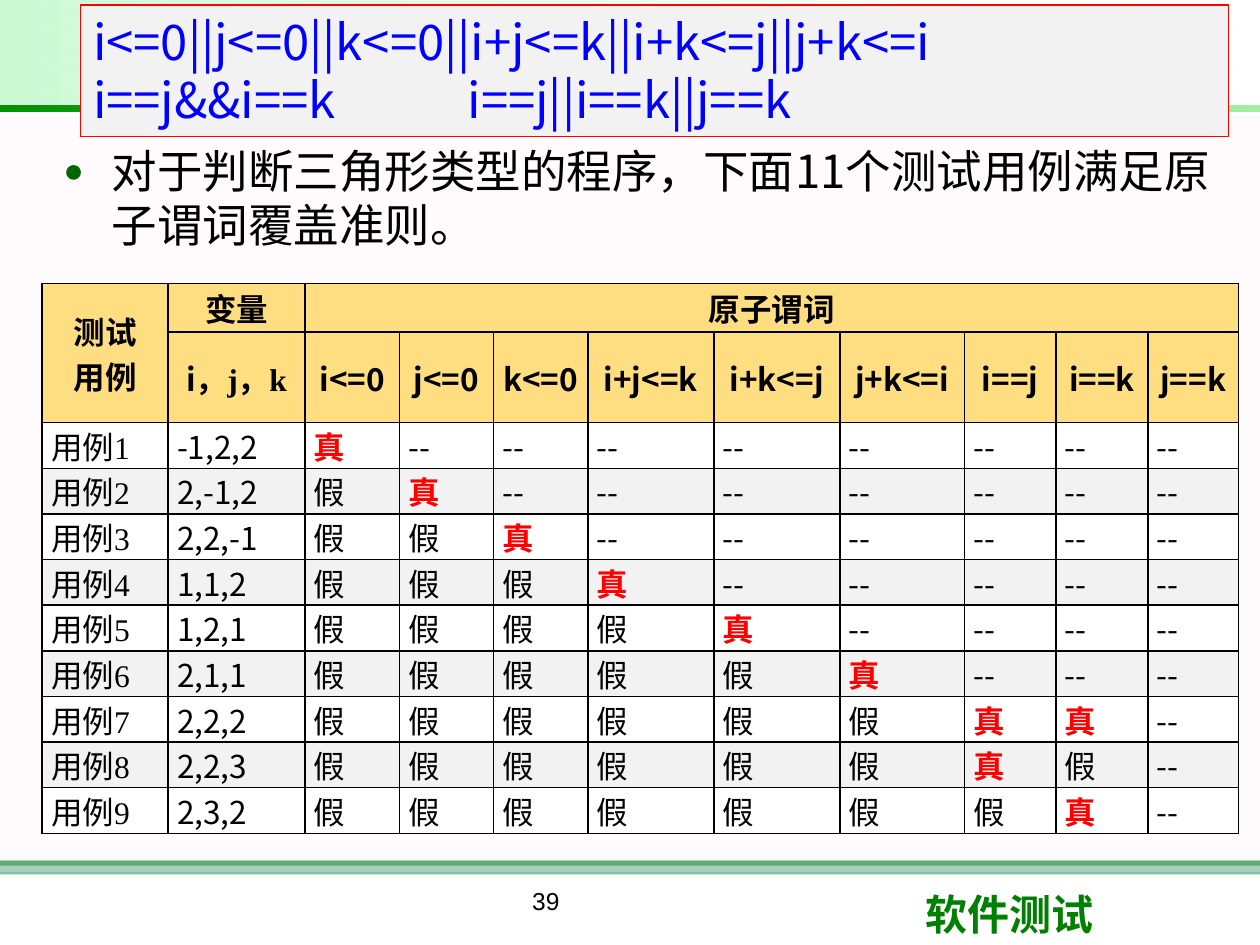
from lxml.etree import SubElement
from pptx import Presentation
from pptx.dml.color import RGBColor
from pptx.enum.shapes import MSO_SHAPE
from pptx.enum.text import MSO_ANCHOR, PP_ALIGN
from pptx.oxml.ns import qn
from pptx.util import Cm, Pt

NOTO, ROMAN, ARIAL = "Noto Sans CJK SC", "Times New Roman", "Arial"


def color(code):
    return RGBColor.from_string(code)


def add(node, tag, **attrs):
    return SubElement(node, qn(tag), attrs)


def fade(fill, node, code, alpha):
    """Solid fill with an opacity in percent."""
    fill.solid()
    fill.fore_color.rgb = color(code)
    if alpha < 100:
        tint = node.find(qn("a:solidFill")).find(qn("a:srgbClr"))
        add(tint, "a:alpha", val=str(alpha * 1000))


class Deck:
    def __init__(self):
        self.file = Presentation()
        self.file.slide_width, self.file.slide_height = Cm(25.4), Cm(19.05)
        self.slide = self.file.slides.add_slide(self.file.slide_layouts[6])

    def style(self, para, face, size, code, bold=False):
        font = para.font
        font.name, font.size, font.bold = face, Pt(size), bold
        font.color.rgb = color(code)
        # Chinese glyphs always come from the same family
        add(font._element, "a:ea", typeface=NOTO)

    def rect(self, x, y, w, h, code, alpha=100):
        box = self.slide.shapes.add_shape(
            MSO_SHAPE.RECTANGLE, Cm(x), Cm(y), Cm(w), Cm(h))
        box.shadow.inherit = False
        box.line.fill.background()
        fade(box.fill, box._element.spPr, code, alpha)
        return box

    def blend(self, x, y, w, h, stops):
        """Band that runs from the first stop at right to the last at left."""
        box = self.rect(x, y, w, h, "FFFFFF")
        box.rotation = 180
        box.fill.gradient()
        box.fill.gradient_angle = 0
        for stop, (code, alpha) in zip(box.fill.gradient_stops, stops):
            stop.color.rgb = color(code)
        tints = box._element.spPr.iter(qn("a:srgbClr"))
        for tint, (code, alpha) in zip(list(tints), stops):
            add(tint, "a:alpha", val=str(alpha * 1000))

    def text(self, x, y, w, h, words, face, size, code, bold=False,
             align=PP_ALIGN.LEFT):
        box = self.slide.shapes.add_textbox(Cm(x), Cm(y), Cm(w), Cm(h))
        box.text_frame.word_wrap = True
        para = box.text_frame.paragraphs[0]
        para.text, para.alignment = words, align
        self.style(para, face, size, code, bold)
        return box

    def bullet(self, x, y, w, h, words):
        box = self.text(x, y, w, h, words, NOTO, 26, "000000")
        box.text_frame.margin_top = Cm(0.15)
        para = box.text_frame.paragraphs[0]
        para.line_spacing, para.space_after = Pt(31), Pt(6)
        props = para._p.get_or_add_pPr()
        props.set("marL", str(Cm(0.99)))
        props.set("indent", str(-Cm(0.97)))
        marks = [add(props, "a:buClr"),
                 add(props, "a:buSzPct", val="75000"),
                 add(props, "a:buFont", typeface=ARIAL),
                 add(props, "a:buChar", char="●")]
        add(marks[0], "a:srgbClr", val="006600")
        for mark in marks:
            props.find(qn("a:defRPr")).addprevious(mark)

    def panel(self, x, y, w, h, lines):
        box = self.rect(x, y, w, h, "F2F2F2")
        box.line.color.rgb, box.line.width = color("FF0000"), Pt(0.75)
        frame = box.text_frame
        frame.word_wrap, frame.vertical_anchor = True, MSO_ANCHOR.TOP
        frame.text = "\n".join(lines)
        for para in frame.paragraphs:
            para.alignment, para.line_spacing = PP_ALIGN.LEFT, Pt(33.6)
            tabs = add(para._p.get_or_add_pPr(), "a:tabLst")
            add(tabs, "a:tab", pos=str(Cm(7.55)), algn="l")
            self.style(para, NOTO, 28, "0000FF")

    def grid(self, x, y, cols, rows):
        frame = self.slide.shapes.add_table(
            len(rows), len(cols), Cm(x), Cm(y), Cm(sum(cols)), Cm(sum(rows)))
        table = frame.table
        for col, size in zip(table.columns, cols):
            col.width = Cm(size)
        for row, size in zip(table.rows, rows):
            row.height = Cm(size)
        return table

    def cell(self, cell, runs, face, back, alpha=100, code="000000",
             bold=False, align=PP_ALIGN.JUSTIFY, pad=0.18):
        cell.margin_left = cell.margin_right = Cm(pad)
        cell.margin_top = cell.margin_bottom = 0
        props = cell._tc.get_or_add_tcPr()
        for side in "LRTB":
            line = add(props, "a:ln" + side, w=str(Pt(1)))
            add(add(line, "a:solidFill"), "a:srgbClr", val="000000")
        fade(cell.fill, props, back, alpha)
        cell.text = runs
        for para in cell.text_frame.paragraphs:
            para.alignment = align
            self.style(para, face, 18, code, bold)

    def head(self, cell, words, face, pad):
        self.cell(cell, words, face, "FFC000", 48, bold=True,
                  align=PP_ALIGN.CENTER, pad=pad)
        cell.vertical_anchor = MSO_ANCHOR.MIDDLE


HEADS = ["", "i", "i<=0", "j<=0", "k<=0", "i+j<=k", "i+k<=j", "j+k<=i",
         "i==j", "i==k", "j==k"]
# One sign per predicate; "-" means not evaluated
CASES = [("-1,2,2", "真--------"), ("2,-1,2", "假真-------"),
         ("2,2,-1", "假假真------"), ("1,1,2", "假假假真-----"),
         ("1,2,1", "假假假假真----"), ("2,1,1", "假假假假假真---"),
         ("2,2,2", "假假假假假假真真-"), ("2,2,3", "假假假假假假真假-"),
         ("2,3,2", "假假假假假假假真-")]


def main():
    deck = Deck()

    # Backdrop and footer
    deck.rect(0, 17.35, 25.4, 0.1, "008000")
    deck.rect(0, 17.35, 25.4, 0.28, "339966", 60)
    deck.rect(0, 2.34, 25.4, 15.24, "FFF0F5", 30)
    deck.text(18.4, 17.78, 6.02, 1.27, "软件测试", ARIAL, 24, "008000", True)
    deck.blend(0, 0, 25.37, 2.12, [("FFFFFF", 10), ("09E733", 21)])
    deck.blend(0, 2.12, 25.4, 0.13, [("00CC00", 35), ("009200", 100)])

    # Statement and page number
    deck.bullet(1.01, 2.74, 23.77, 14.17,
                "对于判断三角形类型的程序，下面11个测试用例满足原子谓词覆盖准则。")
    deck.text(6.98, 17.73, 8.05, 1.32, "39", ARIAL, 14, "000000",
              align=PP_ALIGN.CENTER)

    # Table heads
    cols = [2.54, 2.76] + [1.9] * 3 + [2.54, 2.54, 2.51, 1.85, 1.85, 1.83]
    table = deck.grid(0.85, 5.72, cols, [0.97, 1.83] + [0.92] * len(CASES))
    tops = ["测试\n用例", "变量", "原子谓词"] + [""] * 8
    for col, (top, low) in enumerate(zip(tops, HEADS)):
        deck.head(table.cell(0, col), top, ROMAN, 0.18)
        deck.head(table.cell(1, col), low, NOTO, 0)
    rest = table.cell(1, 1).text_frame.paragraphs[0].add_run()
    rest.text, rest.font.name = "，j，k", ROMAN
    table.cell(0, 0).merge(table.cell(1, 0))
    table.cell(0, 2).merge(table.cell(0, 10))

    # Test cases
    for num, (values, signs) in enumerate(CASES, 1):
        back = "FFFFFF" if num % 2 else "F2F2F2"
        row = num + 1
        deck.cell(table.cell(row, 0), f"用例{num}", ROMAN, back)
        deck.cell(table.cell(row, 1), values, NOTO, back)
        for col, sign in enumerate(signs, 2):
            hit = sign == "真"
            deck.cell(table.cell(row, col), sign.replace("-", "--"),
                      NOTO if sign == "-" else ROMAN, back,
                      code="FF0000" if hit else "000000", bold=hit)

    # Predicates on top
    deck.panel(1.63, 0.1, 23.14, 2.65,
               ["i<=0||j<=0||k<=0||i+j<=k||i+k<=j||j+k<=i",
                "i==j&&i==k\ti==j||i==k||j==k"])
    deck.file.save("out.pptx")


if __name__ == "__main__":
    main()
